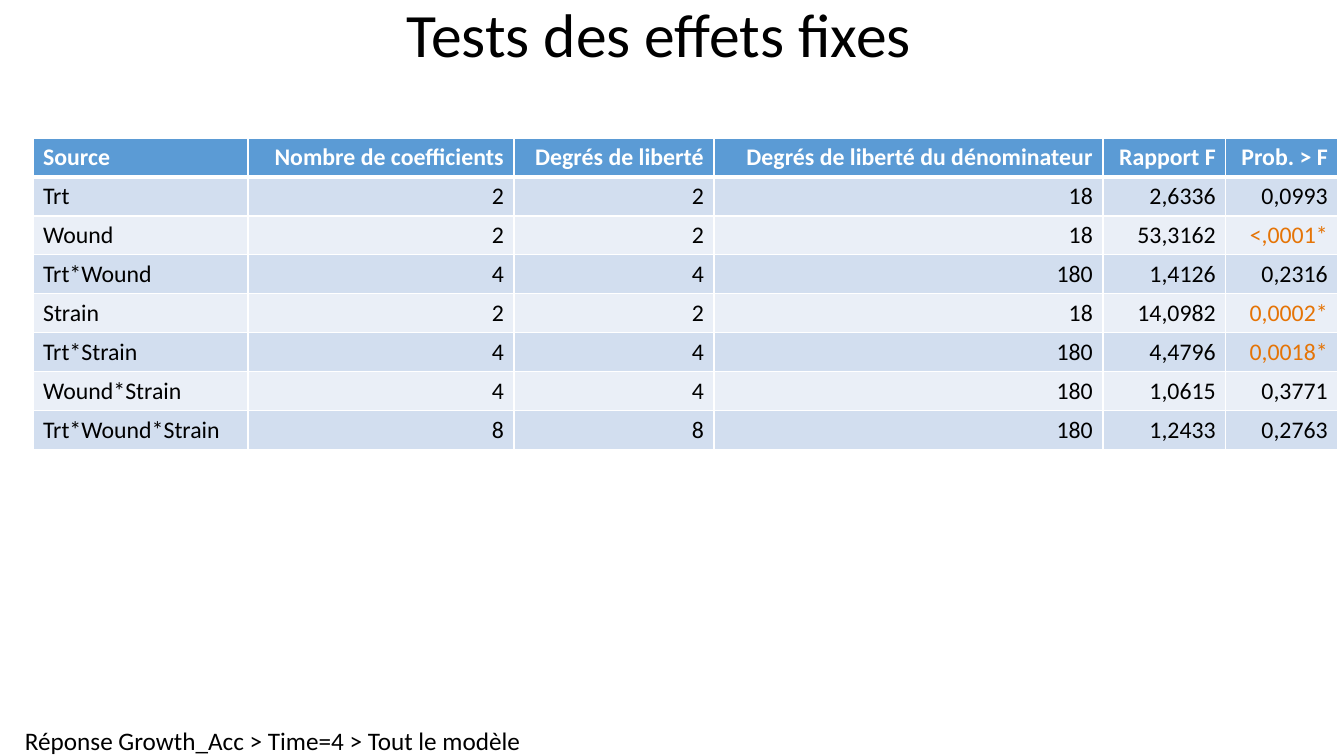
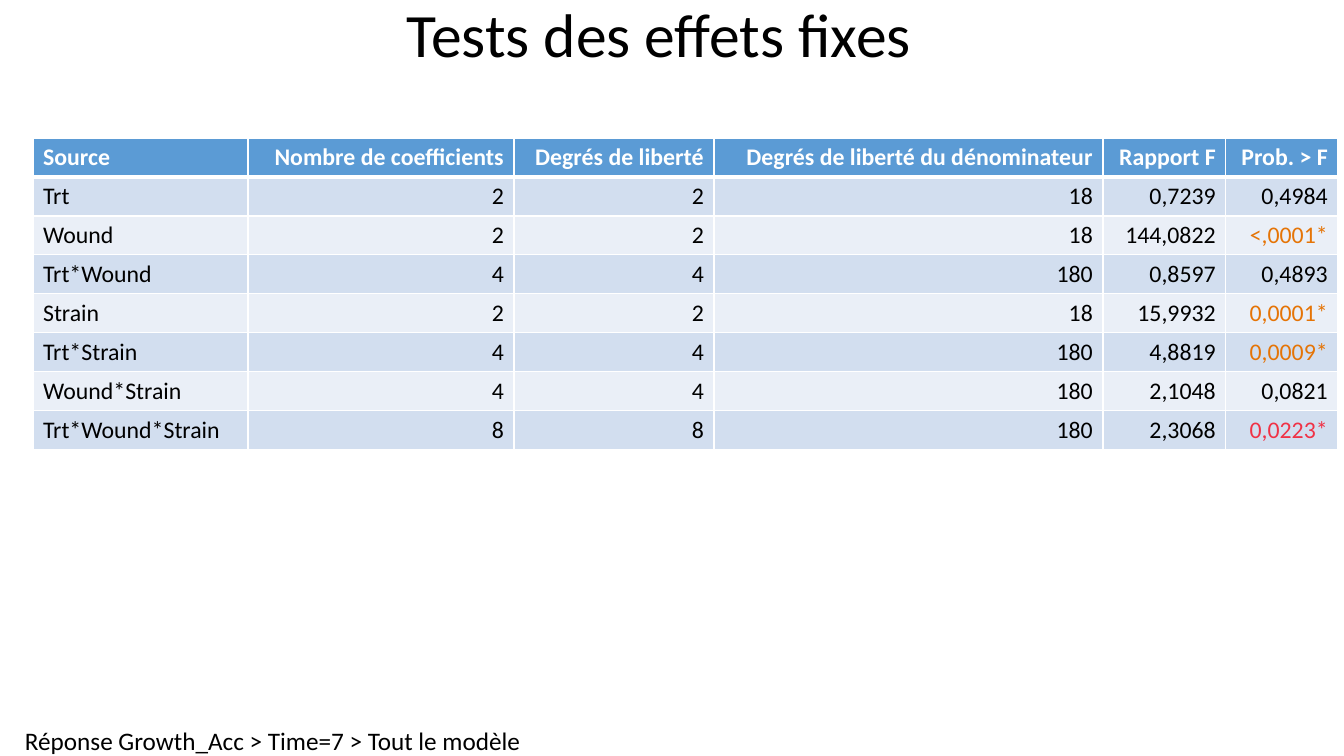
from lxml import etree
from pptx import Presentation
from pptx.dml.color import RGBColor
from pptx.enum.text import MSO_ANCHOR, PP_ALIGN
from pptx.oxml.ns import qn
from pptx.util import Pt

LEFT, CENTER, RIGHT = PP_ALIGN.LEFT, PP_ALIGN.CENTER, PP_ALIGN.RIGHT
MIDDLE = MSO_ANCHOR.MIDDLE

BLACK = RGBColor(0x00, 0x00, 0x00)
WHITE = RGBColor(0xFF, 0xFF, 0xFF)
BLUE = RGBColor(0x5B, 0x9B, 0xD5)
BANDS = RGBColor(0xEA, 0xEF, 0xF7), RGBColor(0xD2, 0xDE, 0xEF)
ORANGE = RGBColor(0xE5, 0x74, 0x06)
RED = RGBColor(0xF0, 0x32, 0x46)
FONT = "Calibri"

TITLE = "Tests des effets fixes"
HEADS = ("Source", "Nombre de coefficients", "Degrés de liberté",
         "Degrés de liberté du dénominateur", "Rapport F", "Prob. > F")
# Source, degrees of freedom, denominator degrees of freedom
TERMS = (("Trt", 2, 18), ("Wound", 2, 18), ("Trt*Wound", 4, 180),
         ("Strain", 2, 18), ("Trt*Strain", 4, 180),
         ("Wound*Strain", 4, 180), ("Trt*Wound*Strain", 8, 180))
# Footer and, for each term, its F ratio and probability
SLIDES = (
    ("Réponse Growth_Acc > Time=4 > Tout le modèle",
     (("2,6336", "0,0993"), ("53,3162", "<,0001*"), ("1,4126", "0,2316"),
      ("14,0982", "0,0002*"), ("4,4796", "0,0018*"), ("1,0615", "0,3771"),
      ("1,2433", "0,2763"))),
    ("Réponse Growth_Acc > Time=7 > Tout le modèle",
     (("0,7239", "0,4984"), ("144,0822", "<,0001*"), ("0,8597", "0,4893"),
      ("15,9932", "0,0001*"), ("4,8819", "0,0009*"), ("2,1048", "0,0821"),
      ("2,3068", "0,0223*"))),
)

WIDTHS = (215, 266, 200, 389, 123, 112)
ROW = 39


def px(n):
    return round(n * 914400 / 100.8)


def box(*sides):
    return [px(n) for n in sides]


def style(frame, size, color, align=LEFT, bold=False):
    para = frame.paragraphs[0]
    para.alignment = align
    for run in para.runs:
        font = run.font
        font.name, font.size, font.bold = FONT, Pt(size), bold
        font.color.rgb = color


def edge(cell, row):
    """Draw white cell borders, thick between the header and the body."""
    thick = {(0, "B"), (1, "T")}
    props = cell._tc.get_or_add_tcPr()
    for side in "LRTB":
        width = Pt(3 if (row, side) in thick else 1)
        line = etree.SubElement(props, qn("a:ln" + side), w=str(width))
        fill = etree.SubElement(line, qn("a:solidFill"))
        etree.SubElement(fill, qn("a:srgbClr"), val=str(WHITE))


def tint(text):
    """Colour a starred probability by its level."""
    if not text.endswith("*"):
        return BLACK
    return ORANGE if float(text.strip("<*").replace(",", ".")) < 0.01 else RED


def add_title(slide):
    title = slide.shapes.title
    title.left, title.top, title.width, title.height = box(0, 0, 1318, 76)
    frame = title.text_frame
    frame.text = TITLE
    frame.vertical_anchor = MIDDLE
    frame.paragraphs[0].line_spacing = 0.9
    style(frame, 44, BLACK, CENTER)


def add_footer(slide, text):
    frame = slide.shapes.add_textbox(*box(25, 725, 499, 31)).text_frame
    frame.margin_left = frame.margin_right = 0
    frame.margin_top = frame.margin_bottom = 0
    frame.word_wrap = False
    frame.text = text
    style(frame, 18, BLACK)


def add_tests(slide, tests):
    rows = [HEADS] + [(name, free, free, denom, ratio, prob)
                      for (name, free, denom), (ratio, prob)
                      in zip(TERMS, tests)]
    size = box(33, 138, sum(WIDTHS), ROW * len(rows))
    table = slide.shapes.add_table(len(rows), len(HEADS), *size).table
    for col, width in zip(table.columns, WIDTHS):
        col.width = px(width)
    for r, row in enumerate(rows):
        head = r == 0
        for c, value in enumerate(row):
            cell = table.cell(r, c)
            cell.text = str(value)
            edge(cell, r)
            cell.fill.solid()
            cell.fill.fore_color.rgb = BLUE if head else BANDS[r % 2]
            color = WHITE if head else tint(cell.text)
            style(cell.text_frame, 17, color, RIGHT if c else LEFT, head)


def main():
    deck = Presentation()
    deck.slide_width, deck.slide_height = box(1344, 756)
    for footer, tests in SLIDES:
        slide = deck.slides.add_slide(deck.slide_layouts[5])
        add_footer(slide, footer)
        add_title(slide)
        add_tests(slide, tests)
    deck.save("out.pptx")


if __name__ == "__main__":
    main()
